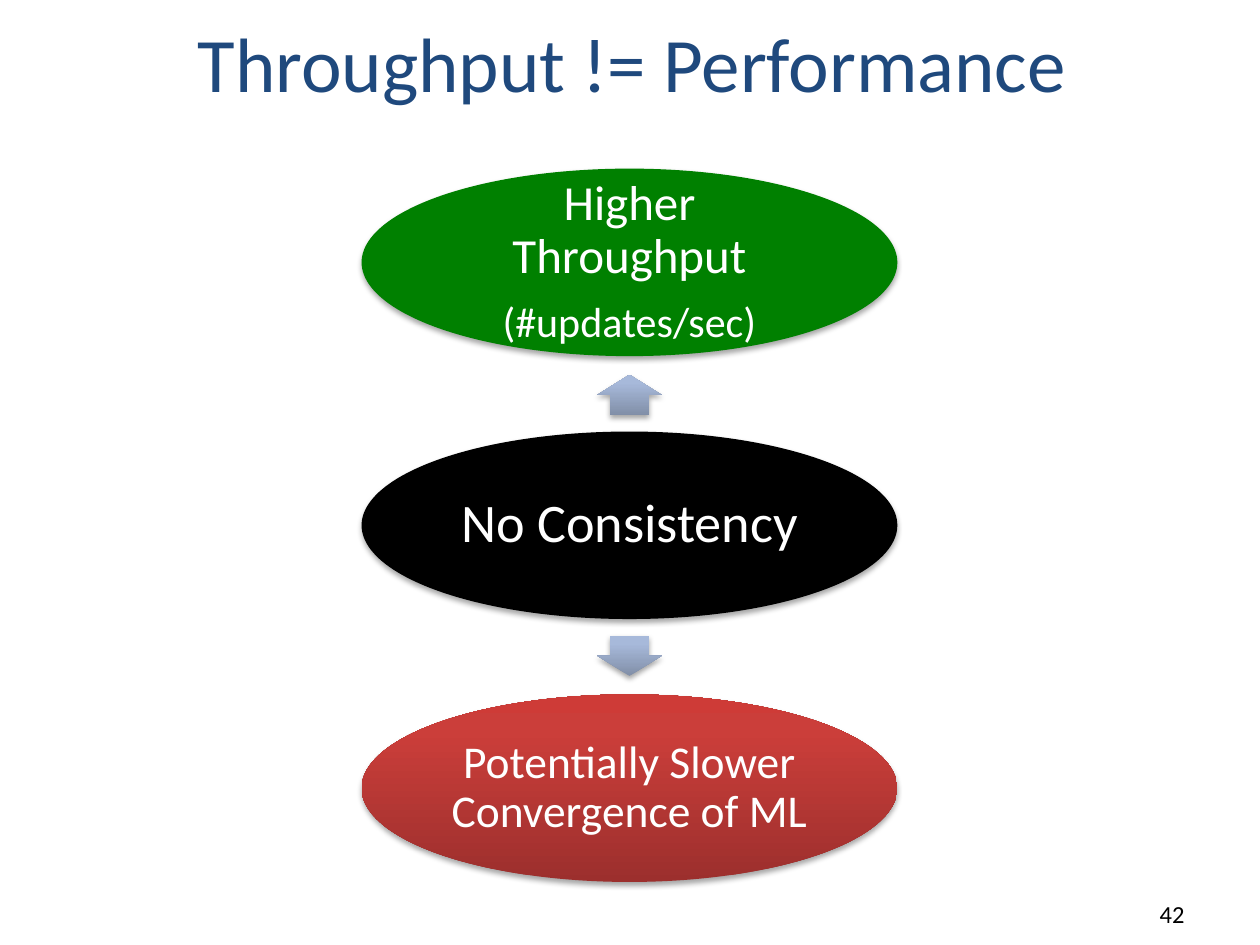
from lxml.etree import SubElement
from pptx import Presentation
from pptx.dml.color import RGBColor
from pptx.enum.shapes import MSO_SHAPE as Shape
from pptx.enum.text import MSO_ANCHOR as Anchor, PP_ALIGN as Align
from pptx.oxml import parse_xml
from pptx.oxml.ns import nsdecls, qn
from pptx.util import Cm, Pt

NAVY = RGBColor(0x1F, 0x49, 0x7D)
WHITE = RGBColor(0xFF, 0xFF, 0xFF)
BLACK = RGBColor(0, 0, 0)
GREEN = RGBColor(0, 0x80, 0)
REDS = [(0, RGBColor(0x9C, 0x2F, 0x2D)), (80, RGBColor(0xCB, 0x3E, 0x3A)),
        (100, RGBColor(0xCE, 0x3B, 0x37))]
BLUES = [(0, RGBColor(0x81, 0x8F, 0xA8)), (80, RGBColor(0xA7, 0xB9, 0xDA)),
         (100, RGBColor(0xA7, 0xBA, 0xDC))]

TITLE = "Throughput != Performance"
PAGE = "42"
STAGES = [
    ([("Higher Throughput", 28), ("(#updates/sec)", 24)], GREEN),
    ([("No Consistency", 31)], BLACK),
    ([("Potentially Slower Convergence of ML", 26)], REDS),
]
ARROWS = [(-1, 270), (1, 90)]

CENTER_X, CENTER_Y = 12.69, 10.59
OVAL_W, OVAL_H, PITCH = 10.8, 3.78, 5.3
ARROW_W, ARROW_H, ARROW_OFFSET = 0.81, 1.3, 2.63


def style_font(paragraph, size, color):
    for run in paragraph.runs:
        run.font.name = "Calibri"
        run.font.size = Pt(size)
        run.font.color.rgb = color


def paint(shape, color):
    shape.line.fill.background()
    if isinstance(color, RGBColor):
        shape.fill.solid()
        shape.fill.fore_color.rgb = color
        return
    shape.fill.gradient()
    gradient = shape._element.spPr.find(qn("a:gradFill"))
    gradient.set("rotWithShape", "0")
    stops = gradient.find(qn("a:gsLst"))
    for stop in list(stops):
        stops.remove(stop)
    for position, rgb in color:
        stop = SubElement(stops, qn("a:gs"), pos=str(position * 1000))
        SubElement(stop, qn("a:srgbClr"), val=str(rgb))
    shape.fill.gradient_angle = 90


def add_shadow(shape):
    shape.shadow.inherit = False
    effects = shape._element.spPr.find(qn("a:effectLst"))
    effects.append(parse_xml(
        f'<a:outerShdw {nsdecls("a")} blurRad="{Pt(3.1)}" dist="{Pt(1.8)}" '
        'dir="5400000" rotWithShape="0"><a:srgbClr val="000000">'
        '<a:alpha val="35000"/></a:srgbClr></a:outerShdw>'))


def add_centered(slide, kind, y, width, height, color):
    shape = slide.shapes.add_shape(
        kind, Cm(CENTER_X - width / 2), Cm(y - height / 2), Cm(width), Cm(height))
    paint(shape, color)
    add_shadow(shape)
    return shape


def add_stage(slide, index, lines, color):
    oval = add_centered(slide, Shape.OVAL, CENTER_Y + (index - 1) * PITCH,
                        OVAL_W, OVAL_H, color)
    frame = oval.text_frame
    frame.word_wrap = True
    frame.vertical_anchor = Anchor.MIDDLE
    frame.margin_left = frame.margin_right = Cm(0.1)
    frame.margin_top = frame.margin_bottom = Cm(0.1)
    frame.text = "\n".join(text for text, _ in lines)
    for paragraph, (_, size) in zip(frame.paragraphs, lines):
        paragraph.alignment = Align.CENTER
        paragraph.line_spacing = 0.9
        paragraph.space_after = Pt(round(size * 0.35, 1))
        style_font(paragraph, size, WHITE)


def main():
    deck = Presentation()
    deck.slide_width, deck.slide_height = Cm(25.4), Cm(19.05)
    slide = deck.slides.add_slide(deck.slide_layouts[5])

    title = slide.shapes.title
    title.left, title.top, title.width, title.height = Cm(3.73), Cm(0.2), Cm(20.83), Cm(2.11)
    title.text_frame.text = TITLE
    title.text_frame.vertical_anchor = Anchor.BOTTOM
    heading = title.text_frame.paragraphs[0]
    heading.alignment = Align.LEFT
    style_font(heading, 44, NAVY)

    for index, (lines, color) in enumerate(STAGES):
        add_stage(slide, index, lines, color)

    for side, rotation in ARROWS:
        arrow = add_centered(slide, Shape.RIGHT_ARROW, CENTER_Y + side * ARROW_OFFSET,
                             ARROW_W, ARROW_H, BLUES)
        arrow.rotation = rotation
        arrow.adjustments[0] = 0.6
        arrow.adjustments[1] = 0.5

    page = slide.shapes.add_textbox(Cm(18.85), Cm(17.58), Cm(5.28), Cm(1.27)).text_frame
    page.word_wrap = True
    page.vertical_anchor = Anchor.BOTTOM
    page.text = PAGE
    page.paragraphs[0].alignment = Align.RIGHT
    style_font(page.paragraphs[0], 14, BLACK)

    deck.save("out.pptx")


if __name__ == "__main__":
    main()
